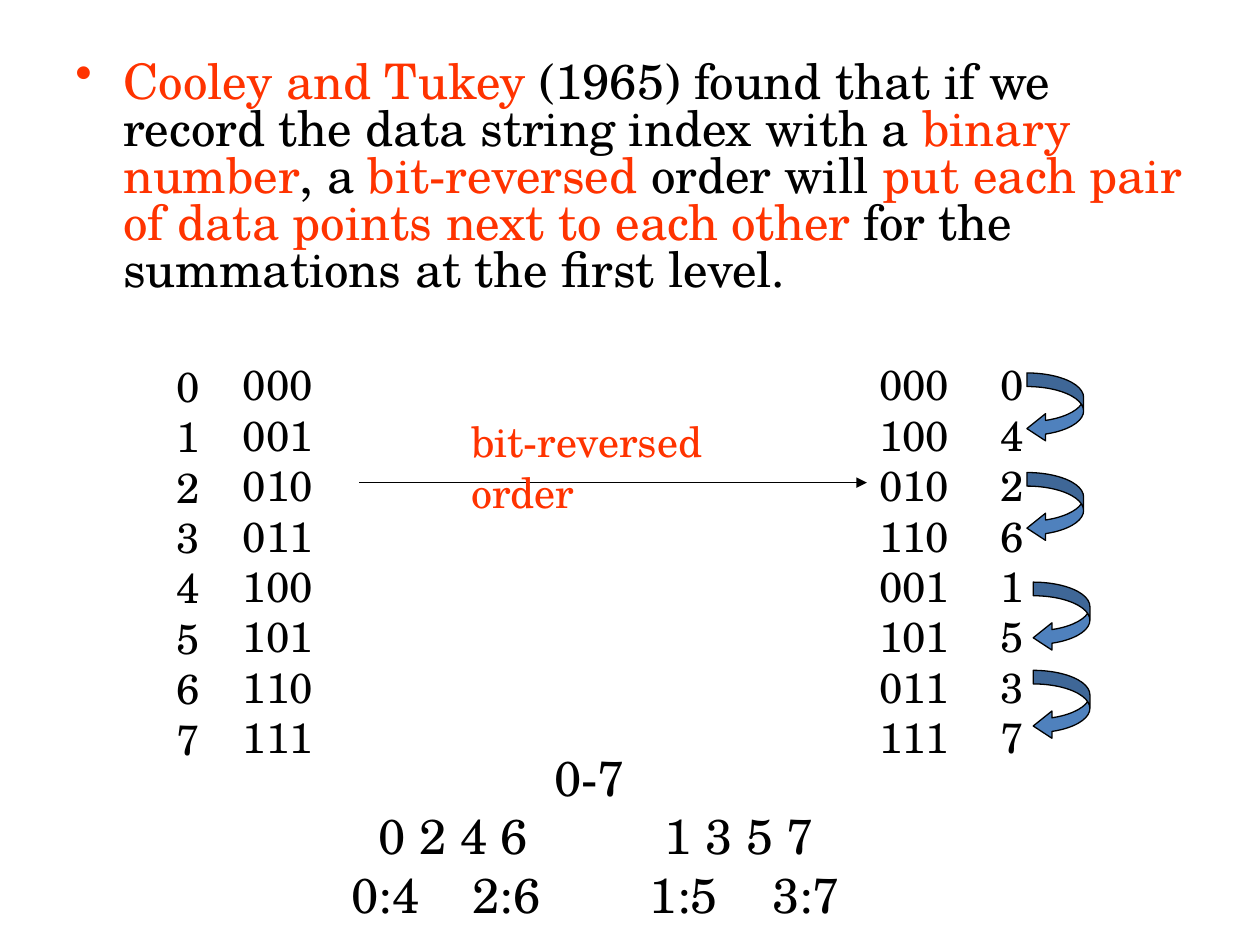
from lxml import etree
from pptx import Presentation
from pptx.dml.color import RGBColor
from pptx.enum.shapes import MSO_CONNECTOR as CONN, MSO_SHAPE as SHAPE
from pptx.oxml.ns import qn
from pptx.util import Inches, Pt

COLORS = {"text": "000000", "accent": "FF3300", "arrow": "4F81BD"}
FONT = "TeX Gyre Schola"
BITS = 3


def color(name):
    return RGBColor.from_string(COLORS[name])


def add_text(slide, box, lines, size):
    """Each line is a list of (text, colour name) runs."""
    tf = slide.shapes.add_textbox(*map(Inches, box)).text_frame
    tf.word_wrap = True
    for i, runs in enumerate(lines):
        p = tf.paragraphs[0] if i == 0 else tf.add_paragraph()
        for text, name in runs:
            r = p.add_run()
            r.text = text
            for key, value in {"name": FONT, "size": Pt(size)}.items():
                setattr(r.font, key, value)
            r.font.color.rgb = color(name)
    return tf


def add_column(slide, box, items):
    add_text(slide, box, [[(str(item), "text")] for item in items], 24)


def add_statement(slide, box):
    runs = [
        ("Cooley and Tukey", "accent"),
        (" (1965) found that if we record the data string index with a ", "text"),
        ("binary number", "accent"),
        (", a ", "text"),
        ("bit-reversed", "accent"),
        (" order will ", "text"),
        ("put each pair of data points next to each other", "accent"),
        (" for the summations at the first level.", "text"),
    ]
    p = add_text(slide, box, [runs], 28).paragraphs[0]
    p.line_spacing = 0.8
    p.space_before = Pt(5.6)
    # Hanging bullet in the colour of the first run
    pPr = p._p.get_or_add_pPr()
    pPr.set("marL", str(Inches(0.38)))
    pPr.set("indent", str(Inches(-0.38)))
    etree.SubElement(pPr, qn("a:buChar")).set("char", "•")


def add_order_arrow(slide, x1, x2, y):
    line = slide.shapes.add_connector(
        CONN.STRAIGHT, Inches(x1), Inches(y), Inches(x2), Inches(y))
    line.line.color.rgb = color("text")
    line.line.width = Pt(0.75)
    etree.SubElement(line.line._get_or_add_ln(), qn("a:tailEnd")).set("type", "triangle")
    etree.SubElement(line._element.spPr, qn("a:effectLst"))
    add_text(slide, (x1 + 0.79, y - 0.58, 2.87, 0.5),
             [[("bit-reversed order", "accent")]], 24)


def add_pair_arrow(slide, x, y):
    sp = slide.shapes.add_shape(
        SHAPE.CURVED_LEFT_ARROW, Inches(x), Inches(y), Inches(0.45), Inches(0.55))
    sp.shadow.inherit = False
    for i, value in enumerate((0.24, 0.48, 0.33)):
        sp.adjustments[i] = value
    sp.fill.solid()
    sp.fill.fore_color.rgb = color("arrow")
    sp.line.color.rgb = color("text")
    sp.line.width = Pt(0.75)


def add_reordering(slide, left, top):
    indices = range(2 ** BITS)
    codes = [f"{i:0{BITS}b}" for i in indices]
    reversed_codes = [code[::-1] for code in codes]
    # Natural order, then bit-reversed order
    add_column(slide, (left, top + 0.01, 0.53, 3.3), indices)
    add_column(slide, (left + 0.53, top, 1.01, 3.3), codes)
    add_column(slide, (left + 5.58, top, 0.95, 3.3), reversed_codes)
    add_column(slide, (left + 6.54, top, 0.77, 3.3),
               [int(code, 2) for code in reversed_codes])
    add_order_arrow(slide, left + 1.55, left + 5.58, top + 1.03)
    # Pairs that are now neighbours
    for dx, dy in ((6.85, 0.16), (6.85, 0.95), (6.9, 1.82), (6.9, 2.52)):
        add_pair_arrow(slide, left + dx, top + dy)


def add_split_tree(slide, box):
    # Each level: (centre of the entry, entry)
    levels = [
        [(2.97, "0-7")],
        [(1.89, "0 2 4 6"), (4.16, "1 3 5 7")],
        [(1.35, "0:4"), (2.31, "2:6"), (3.72, "1:5"), (4.69, "3:7")],
    ]
    lines = [[("".join("\t" + entry for _, entry in level), "text")] for level in levels]
    tf = add_text(slide, box, lines, 28)
    for p, level in zip(tf.paragraphs, levels):
        tabs = etree.SubElement(p._p.get_or_add_pPr(), qn("a:tabLst"))
        for centre, _ in level:
            tab = etree.SubElement(tabs, qn("a:tab"))
            tab.set("pos", str(Inches(centre)))
            tab.set("algn", "ctr")


def main():
    prs = Presentation()
    prs.slide_width, prs.slide_height = Inches(10), Inches(7.5)
    slide = prs.slides.add_slide(prs.slide_layouts[6])
    add_statement(slide, (0.5, 0.44, 9, 2.05))
    add_reordering(slide, 1.3, 2.8)
    add_split_tree(slide, (1.61, 5.88, 6.54, 1.5))
    prs.save("out.pptx")


if __name__ == "__main__":
    main()
